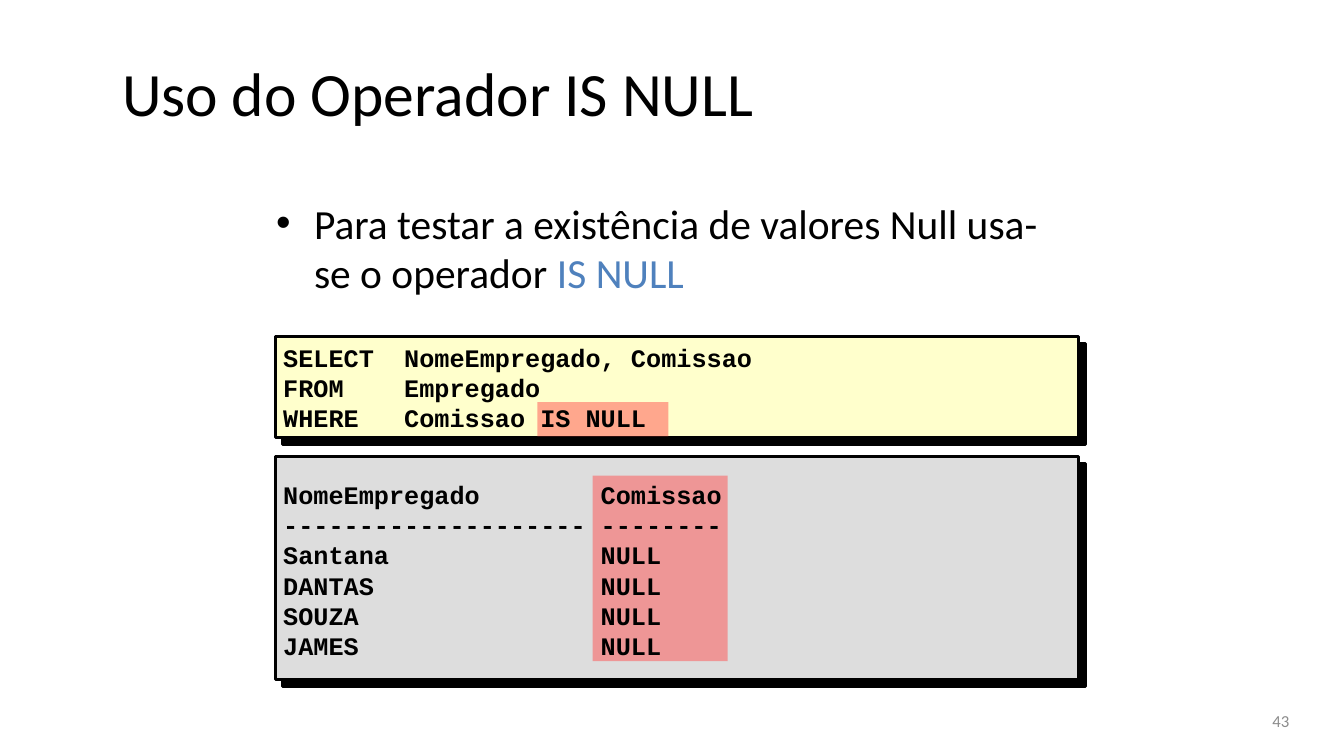
from lxml import etree
from pptx import Presentation
from pptx.dml.color import RGBColor
from pptx.enum.shapes import MSO_SHAPE
from pptx.enum.text import MSO_ANCHOR, MSO_AUTO_SIZE, PP_ALIGN
from pptx.oxml.ns import qn
from pptx.util import Inches, Pt

RECT = MSO_SHAPE.RECTANGLE
MIDDLE = MSO_ANCHOR.MIDDLE
FIXED = MSO_AUTO_SIZE.NONE
LEFT, RIGHT = PP_ALIGN.LEFT, PP_ALIGN.RIGHT

BLACK = RGBColor(0x00, 0x00, 0x00)
BLUE = RGBColor(0x4F, 0x81, 0xBD)
CREAM = RGBColor(0xFF, 0xFF, 0xCC)
SILVER = RGBColor(0xDD, 0xDD, 0xDD)
RED = RGBColor(0xFF, 0x50, 0x50)
GRAY = RGBColor(0x8C, 0x8C, 0x8C)

WIDTH, HEIGHT = Inches(13.33), Inches(7.5)
SANS, MONO = "Calibri", "Courier New"
CHAR = Inches(0.15)  # width of one code letter at 18 pt

QUERY = [
    "SELECT\tNomeEmpregado, Comissao",
    "FROM\tEmpregado",
    "WHERE\tComissao IS NULL",
]
NAMES = ["Santana", "DANTAS", "SOUZA", "JAMES"]
RESULT = ["NomeEmpregado\tComissao", "-" * 20 + "\t" + "-" * 8]
RESULT += [name + "\tNULL" for name in NAMES]


def area(x, y, w, h):
    """Turn percentages of the slide into left, top, width and height."""
    return (int(WIDTH * x / 100), int(HEIGHT * y / 100),
            int(WIDTH * w / 100), int(HEIGHT * h / 100))


def place(shape, box):
    shape.left, shape.top, shape.width, shape.height = box


def style(para, face, size, color, align=LEFT):
    para.alignment = align
    para.font.name = face
    para.font.size = Pt(size)
    para.font.color.rgb = color


def add_rect(slide, box, color):
    rect = slide.shapes.add_shape(RECT, *box)
    rect.shadow.inherit = False
    rect.fill.solid()
    rect.fill.fore_color.rgb = color
    return rect


def add_panel(slide, box, color):
    """Add an outlined box with a hard shadow to the lower right."""
    panel = add_rect(slide, box, color)
    panel.line.color.rgb = BLACK
    panel.line.width = Pt(2)
    effects = panel.element.spPr.find(qn("a:effectLst"))
    shade = etree.SubElement(effects, qn("a:outerShdw"), blurRad="0",
                             dist=str(Pt(7.1)), dir="2700000",
                             algn="ctr", rotWithShape="0")
    etree.SubElement(shade, qn("a:srgbClr"), val=str(BLACK))


def add_mark(slide, box):
    """Add a half-transparent highlight."""
    mark = add_rect(slide, box, RED)
    mark.line.fill.background()
    tint = mark.element.spPr.find(qn("a:solidFill"))[0]
    etree.SubElement(tint, qn("a:alpha"), val="50000")


def add_text(slide, box, lines):
    frame = slide.shapes.add_textbox(*box).text_frame
    frame.word_wrap = True
    frame.vertical_anchor = MIDDLE
    frame.text = "\n".join(lines)
    return frame.paragraphs


def add_code(slide, box, lines, column):
    """Add code whose second part starts at the given letter column."""
    for para in add_text(slide, box, lines):
        style(para, MONO, 18, BLACK)
        para.font.bold = True
        para.line_spacing = Pt(21.5)
        tabs = etree.Element(qn("a:tabLst"))
        etree.SubElement(tabs, qn("a:tab"), pos=str(CHAR * column), algn="l")
        props = para.font._element.getparent()
        props.insert(props.index(para.font._element), tabs)


def add_title(slide, text):
    title = slide.shapes.title
    place(title, area(8.33, 3.87, 88.35, 16.67))
    title.text_frame.text = text
    title.text_frame.vertical_anchor = MIDDLE
    style(title.text_frame.paragraphs[0], SANS, 44, BLACK)


def add_body(slide, text, term):
    body = slide.placeholders[1]
    place(body, area(19.8, 25.47, 60.6, 13.2))
    frame = body.text_frame
    frame.auto_size = FIXED
    para = frame.paragraphs[0]
    style(para, SANS, 29.6, BLACK)
    para.add_run().text = text
    run = para.add_run()
    run.text = term
    run.font.color.rgb = BLUE


def main():
    deck = Presentation()
    deck.slide_width, deck.slide_height = WIDTH, HEIGHT
    slide = deck.slides.add_slide(deck.slide_layouts[1])

    add_panel(slide, area(20.48, 44.53, 59.78, 13.33), CREAM)
    add_panel(slide, area(20.48, 60.4, 59.78, 29.47), SILVER)
    add_title(slide, "Uso do Operador IS NULL")
    add_body(slide, "Para testar a existência de valores Null usa-se o operador ",
             "IS NULL")
    add_mark(slide, area(39.98, 53.2, 9.75, 4.53))
    add_mark(slide, area(44.1, 62.93, 10.05, 24.53))
    add_code(slide, area(20.33, 44.4, 60, 13.73), QUERY, 8)
    add_code(slide, area(20.33, 63.6, 60, 23.6), RESULT, 21)
    number = add_text(slide, area(73.35, 92.67, 23.33, 5.33), ["43"])
    style(number[0], SANS, 12, GRAY, RIGHT)

    deck.save("out.pptx")


if __name__ == "__main__":
    main()
